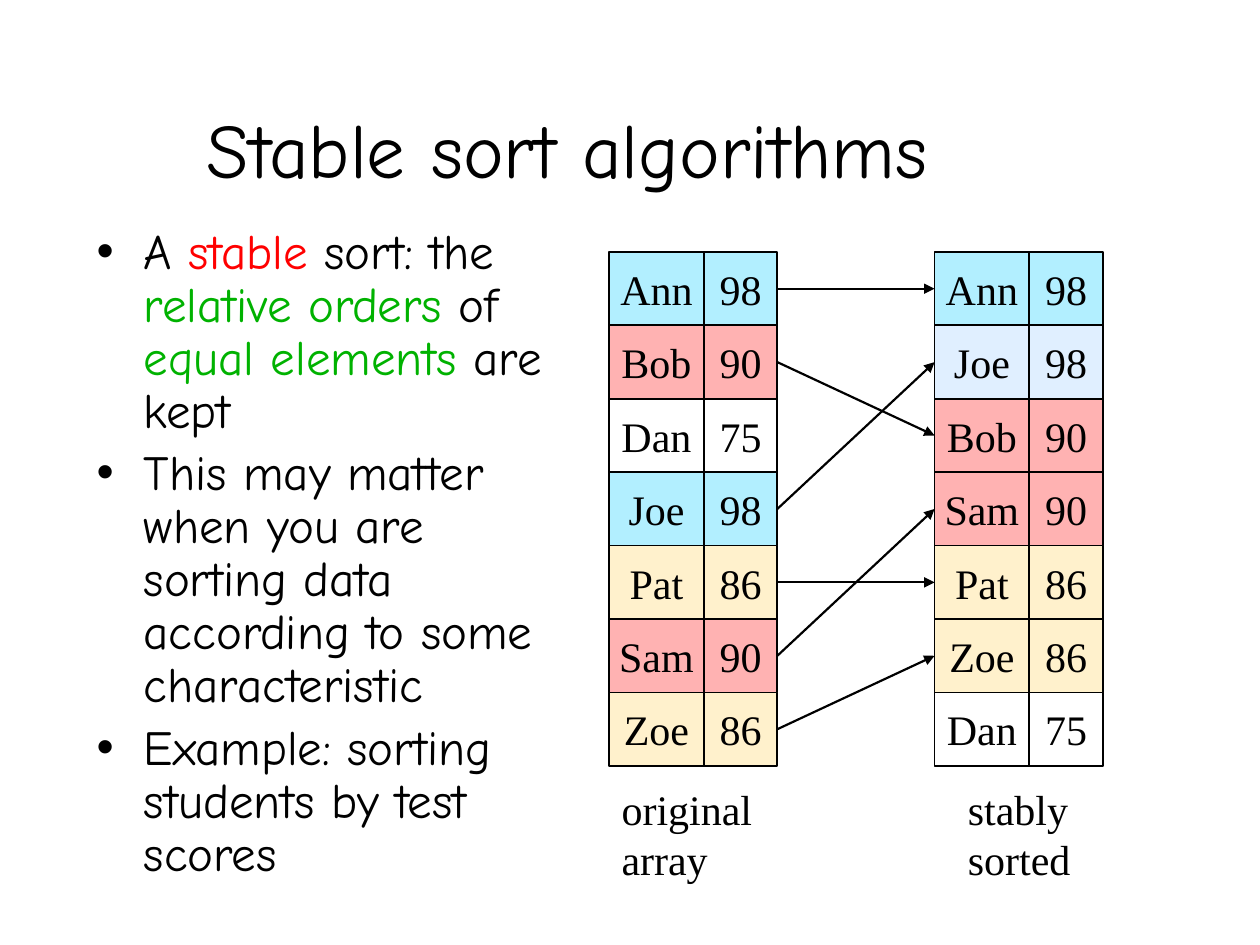
"""Build a slide that shows how a stable sort keeps the order of equal scores."""
from dataclasses import dataclass

from lxml.etree import SubElement
from pptx import Presentation
from pptx.dml.color import RGBColor as Rgb
from pptx.enum.shapes import MSO_CONNECTOR as Connector, MSO_SHAPE as Preset
from pptx.enum.text import MSO_ANCHOR as Anchor, PP_ALIGN as Align
from pptx.oxml.ns import qn
from pptx.util import Cm, Pt


@dataclass(frozen=True)
class Theme:
    ink: str = "000000"
    red: str = "FF0000"
    green: str = "00B200"
    cyan: str = "00CCFF"
    pale_blue: str = "99CCFF"
    cream: str = "FFF1CC"
    tint: int = 30
    hand_font: str = "Comic Neue"
    array_font: str = "Times New Roman"
    title_size: float = 44
    body_size: float = 28
    array_size: float = 24
    cell_line: float = 1
    arrow_line: float = 1.25


class SlideBuilder:
    def __init__(self, slide, theme):
        self.shapes = slide.shapes
        self.theme = theme

    def run(self, paragraph, words, font, size, color=None):
        run = paragraph.add_run()
        run.text = words
        run.font.name = font
        run.font.size = Pt(size)
        run.font.color.rgb = Rgb.from_string(color or self.theme.ink)

    def frame(self, left, top, width, height):
        frame = self.shapes.add_textbox(Cm(left), Cm(top), Cm(width), Cm(height)).text_frame
        frame.word_wrap = True
        return frame

    def title(self, words, *box):
        frame = self.frame(*box)
        frame.vertical_anchor = Anchor.BOTTOM
        heading = frame.paragraphs[0]
        heading.alignment = Align.CENTER
        self.run(heading, words, self.theme.hand_font, self.theme.title_size)

    def bullets(self, points, *box):
        frame = self.frame(*box)
        for index, pieces in enumerate(points):
            point = frame.add_paragraph() if index else frame.paragraphs[0]
            properties = point._p.get_or_add_pPr()
            properties.set("marL", str(Cm(0.95)))
            properties.set("indent", str(Cm(-0.95)))
            SubElement(properties, qn("a:buFont")).set("typeface", "Arial")
            SubElement(properties, qn("a:buChar")).set("char", "•")
            point.line_spacing = 0.9
            if index:
                point.space_before = Pt(0.2 * self.theme.body_size)
            for words, color in pieces:
                self.run(point, words, self.theme.hand_font, self.theme.body_size, color)

    def caption(self, words, *box):
        label = self.frame(*box).paragraphs[0]
        self.run(label, words, self.theme.array_font, self.theme.array_size)

    def cell(self, words, color, left, top, width, height):
        cell = self.shapes.add_shape(Preset.RECTANGLE, Cm(left), Cm(top), Cm(width), Cm(height))
        cell.shadow.inherit = False
        if color:
            cell.fill.solid()
            cell.fill.fore_color.rgb = Rgb.from_string(color)
            if color != self.theme.cream:
                tone = cell.fill._xPr.find(".//" + qn("a:srgbClr"))
                SubElement(tone, qn("a:alpha")).set("val", str(self.theme.tint * 1000))
        else:
            cell.fill.background()
        cell.line.color.rgb = Rgb.from_string(self.theme.ink)
        cell.line.width = Pt(self.theme.cell_line)
        frame = cell.text_frame
        frame.word_wrap = False
        frame.vertical_anchor = Anchor.MIDDLE
        frame.paragraphs[0].alignment = Align.CENTER
        self.run(frame.paragraphs[0], words, self.theme.array_font, self.theme.array_size)
        return cell

    def array(self, students, left, top):
        name_width, side = 1.91, 1.48
        cells = {}
        for row, (name, score, color) in enumerate(students):
            y = top + row * side
            cells[name] = (
                self.cell(name, color, left, y, name_width, side),
                self.cell(score, color, left + name_width, y, side, side),
            )
        return cells

    def arrow(self, source, target):
        arrow = self.shapes.add_connector(Connector.STRAIGHT, 0, 0, 0, 0)
        arrow.begin_connect(source, 3)
        arrow.end_connect(target, 1)
        arrow.line.color.rgb = Rgb.from_string(self.theme.ink)
        arrow.line.width = Pt(self.theme.arrow_line)
        SubElement(arrow.line._get_or_add_ln(), qn("a:tailEnd")).set("type", "triangle")
        SubElement(arrow._element.spPr, qn("a:effectLst"))


def main():
    deck = Presentation()
    deck.slide_width, deck.slide_height = Cm(25.4), Cm(19.05)
    theme = Theme()
    page = SlideBuilder(deck.slides.add_slide(deck.slide_layouts[6]), theme)

    page.title("Stable sort algorithms", 1.9, 0.43, 19.08, 3.61)
    page.bullets(
        [
            [
                ("A ", theme.ink),
                ("stable", theme.red),
                (" sort: the ", theme.ink),
                ("relative orders", theme.green),
                (" of ", theme.ink),
                ("equal elements", theme.green),
                (" are kept", theme.ink),
            ],
            [("This may matter when you are sorting data according to some characteristic", theme.ink)],
            [("Example: sorting students by test scores", theme.ink)],
        ],
        1.7, 4.45, 9.8, 12.7,
    )

    ann = ("Ann", "98", theme.cyan)
    bob = ("Bob", "90", theme.red)
    dan = ("Dan", "75", None)
    joe = ("Joe", "98", theme.cyan)
    pat = ("Pat", "86", theme.cream)
    sam = ("Sam", "90", theme.red)
    zoe = ("Zoe", "86", theme.cream)
    moved_joe = ("Joe", "98", theme.pale_blue)

    array_top, caption_top = 5.08, 15.67
    original = page.array([ann, bob, dan, joe, pat, sam, zoe], 12.28, array_top)
    ordered = page.array([ann, moved_joe, bob, sam, pat, zoe, dan], 18.84, array_top)
    page.caption("original array", 12.28, caption_top, 3.38, 2.29)
    page.caption("stably sorted", 19.26, caption_top, 3.38, 2.29)

    for name in ("Ann", "Joe", "Bob", "Sam", "Pat", "Zoe"):
        page.arrow(original[name][1], ordered[name][0])

    deck.save("out.pptx")


if __name__ == "__main__":
    main()
